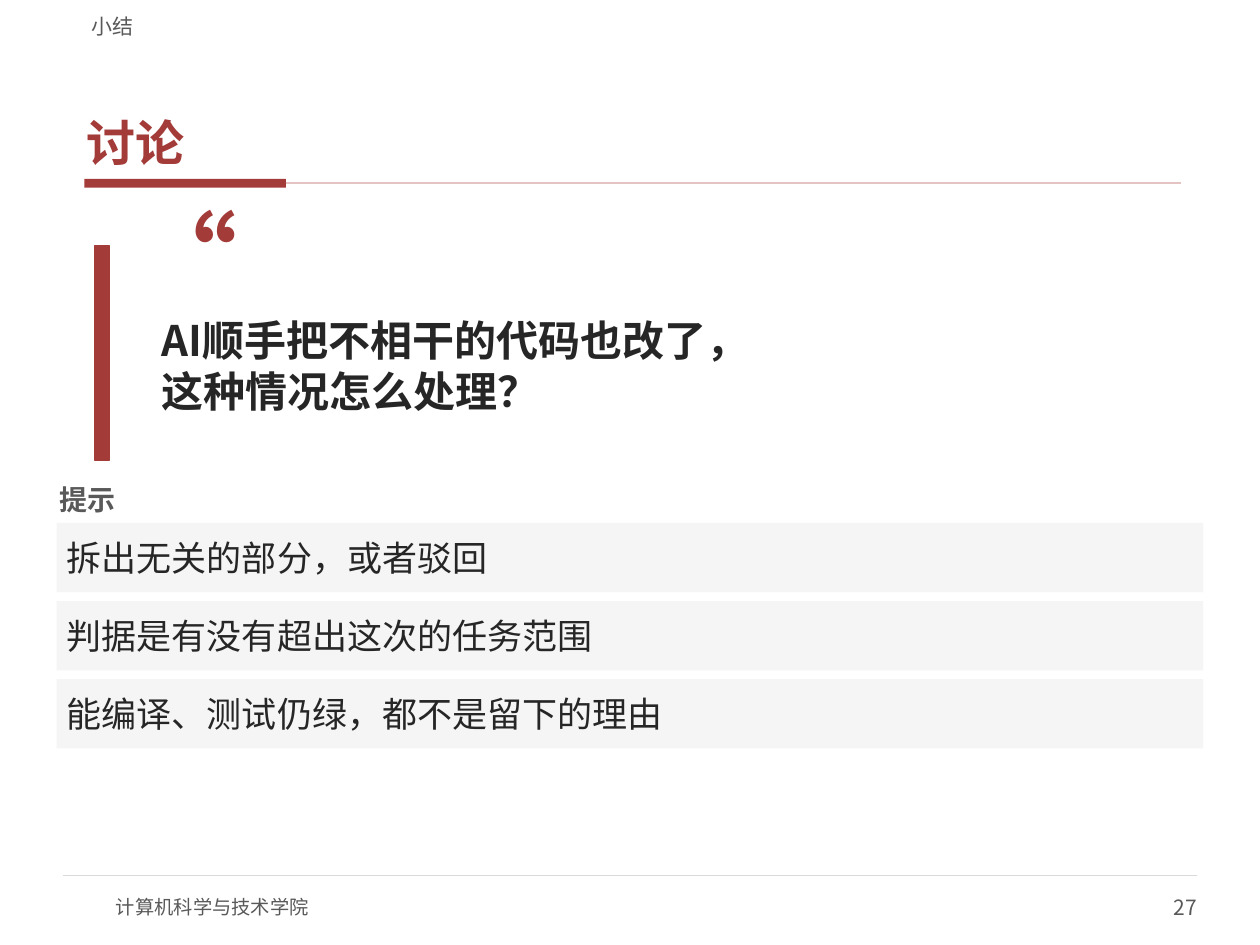
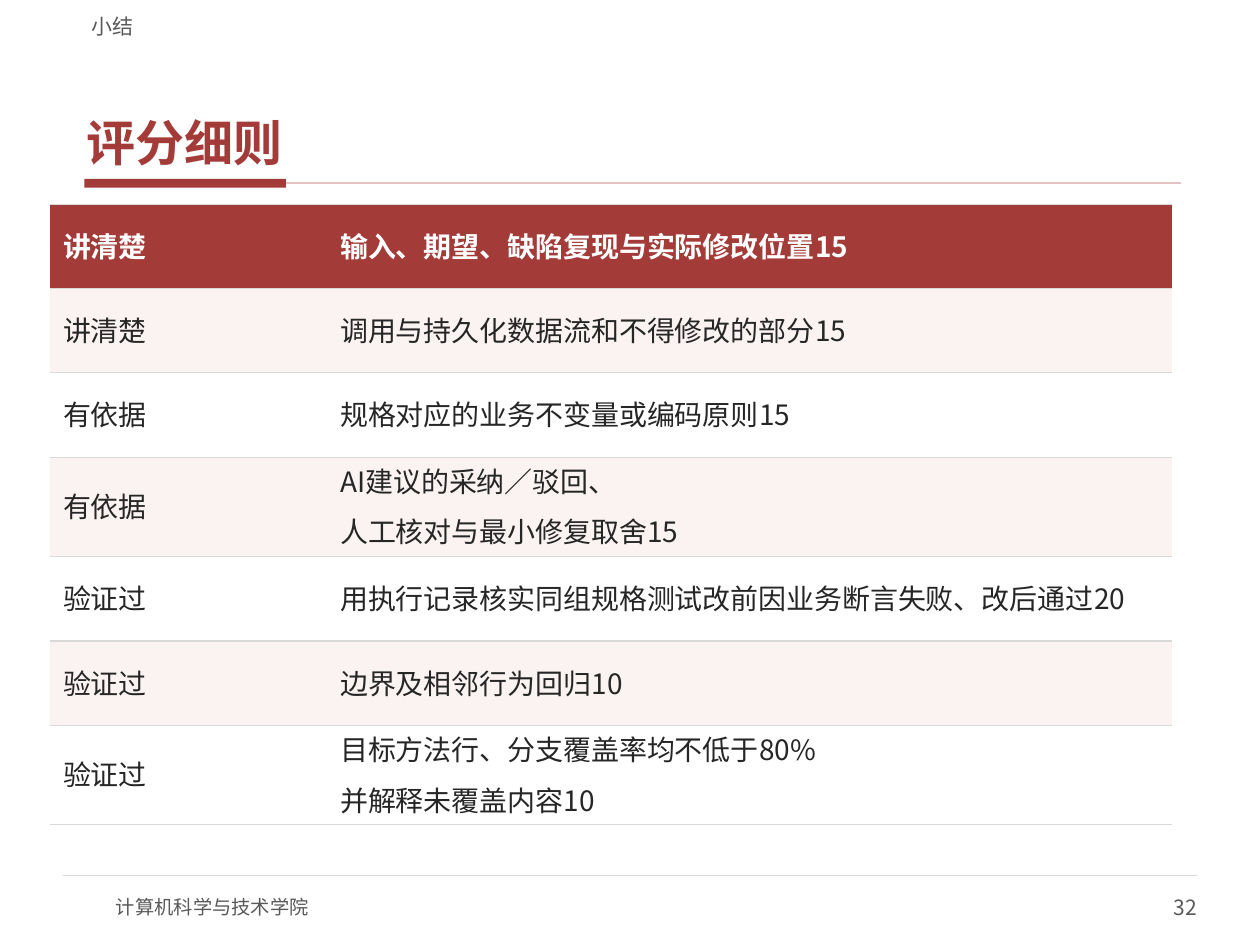
from dataclasses import dataclass
from lxml import etree
from pptx import Presentation
from pptx.dml.color import RGBColor as Rgb
from pptx.enum.shapes import MSO_CONNECTOR as Link, MSO_SHAPE as Form
from pptx.enum.text import MSO_ANCHOR as Anchor, MSO_AUTO_SIZE as Fit, PP_ALIGN as Align
from pptx.oxml.ns import qn
from pptx.util import Pt


@dataclass(frozen=True)
class Theme:
    font: str = "Noto Sans CJK SC"
    red: str = "A33B38"
    rose: str = "E3C4C2"
    blush: str = "FBF3F2"
    rule: str = "D9D9D9"
    pale: str = "F5F5F5"
    gray: str = "595959"
    ink: str = "262626"
    white: str = "FFFFFF"
    quote: int = 60
    title: int = 28
    ask: int = 24
    hint: int = 20
    body: int = 16
    small: int = 12
    foot: int = 11


@dataclass(frozen=True)
class Box:
    left: float
    top: float
    width: float
    height: float

    def place(self) -> tuple:
        return Pt(self.left), Pt(self.top), Pt(self.width), Pt(self.height)


@dataclass(frozen=True)
class Style:
    size: int
    color: str
    bold: bool = False
    align: Align = Align.LEFT
    anchor: Anchor = Anchor.MIDDLE
    pad: tuple = (0, 0)
    fit: Fit = Fit.NONE


@dataclass(frozen=True)
class Label:
    text: str
    box: Box
    style: Style


T = Theme()
WIDE = (5.76, 2.88)
HEAD = Style(T.title, T.red, True, anchor=Anchor.BOTTOM, pad=(4.32, 1.44))
TITLE = Box(45.36, 23.76, 630, 75.6)
HINT = Style(T.hint, T.ink, pad=WIDE)

# Labels found on every slide
FRAME = [
    Label("计算机科学与技术学院", Box(66.24, 504, 288, 28.8), Style(T.foot, T.gray)),
    Label("小结", Box(45.36, 2.88, 630, 19.44),
          Style(T.small, T.gray, anchor=Anchor.BOTTOM, pad=(7.2, 0))),
]

ASK = [
    Label("“", Box(75.6, 111.6, 72, 72),
          Style(T.quote, T.red, True, anchor=Anchor.TOP)),
    Label("AI顺手把不相干的代码也改了，\n这种情况怎么处理？",
          Box(86.4, 154.8, 601.2, 108),
          Style(T.ask, T.ink, True, pad=WIDE, fit=Fit.TEXT_TO_FIT_SHAPE)),
    Label("提示", Box(32.4, 273.6, 216, 23.04),
          Style(T.body, T.gray, True, pad=(1.44, 0.72))),
]
HINTS = [
    "拆出无关的部分，或者驳回",
    "判据是有没有超出这次的任务范围",
    "能编译、测试仍绿，都不是留下的理由",
]
SCORES = [
    ("讲清楚", "输入、期望、缺陷复现与实际修改位置15"),
    ("讲清楚", "调用与持久化数据流和不得修改的部分15"),
    ("有依据", "规格对应的业务不变量或编码原则15"),
    ("有依据", "AI建议的采纳／驳回、\n人工核对与最小修复取舍15"),
    ("验证过", "用执行记录核实同组规格测试改前因业务断言失败、改后通过20"),
    ("验证过", "边界及相邻行为回归10"),
    ("验证过", "目标方法行、分支覆盖率均不低于80%\n并解释未覆盖内容10"),
]


def apply(item, values: dict) -> None:
    for key, value in values.items():
        setattr(item, key, value)


def add_run(para, text: str, style: Style) -> None:
    run = para.add_run()
    run.text = text
    apply(run.font, {"name": T.font, "size": Pt(style.size), "bold": style.bold})
    run.font.color.rgb = Rgb.from_string(style.color)
    east = etree.SubElement(run.font._element, qn("a:ea"))
    east.set("typeface", T.font)


def write(shape, text: str, style: Style):
    """Fill a shape with one paragraph, with a line break at each newline."""
    frame = shape.text_frame
    side, edge = (Pt(pad) for pad in style.pad)
    apply(frame, {"word_wrap": True, "auto_size": style.fit,
                  "vertical_anchor": style.anchor,
                  "margin_left": side, "margin_right": side,
                  "margin_top": edge, "margin_bottom": edge})
    para = frame.paragraphs[0]
    para.alignment = style.align
    for row, line in enumerate(text.split("\n")):
        if row:
            para.add_line_break()
        add_run(para, line, style)
    return para


def add_label(slide, label: Label) -> None:
    write(slide.shapes.add_textbox(*label.box.place()), label.text, label.style)


def add_bar(slide, box: Box, color: str, edge: bool = False):
    bar = slide.shapes.add_shape(Form.RECTANGLE, *box.place())
    bar.shadow.inherit = False
    bar.fill.solid()
    bar.fill.fore_color.rgb = Rgb.from_string(color)
    if edge:
        bar.line.color.rgb = Rgb.from_string(color)
        bar.line.width = Pt(1)
    else:
        bar.line.fill.background()
    return bar


def add_rule(slide, left: float, right: float, top: float, color: str, width: float):
    rule = slide.shapes.add_connector(Link.STRAIGHT, Pt(left), Pt(top), Pt(right), Pt(top))
    rule.line.color.rgb = Rgb.from_string(color)
    rule.line.width = Pt(width)
    etree.SubElement(rule._element.spPr, qn("a:effectLst"))
    return rule


def add_page(deck, title: str, number: int):
    """Add a slide with its title, rules, header and footer."""
    slide = deck.slides.add_slide(deck.slide_layouts[5])
    bar = add_bar(slide, Box(48.24, 102.24, 115.2, 5.04), T.red)
    rule = add_rule(slide, 163.44, 674.64, 104.76, T.rose, 1)
    rule.begin_connect(bar, 3)
    add_rule(slide, 36, 684, 500.4, T.rule, 0.75)
    page = Label(str(number), Box(540, 504, 144, 28.8),
                 Style(T.small, T.gray, align=Align.RIGHT))
    for label in [*FRAME, page]:
        add_label(slide, label)
    head = slide.shapes.title
    apply(head, dict(zip(("left", "top", "width", "height"), TITLE.place())))
    write(head, title, HEAD).space_after = Pt(2)
    return slide


def set_edges(cell) -> None:
    """Rule a cell above and below only."""
    props = cell._tc.get_or_add_tcPr()
    for spot, side in enumerate(("lnL", "lnR", "lnT", "lnB")):
        line = etree.Element(qn(f"a:{side}"))
        if side in ("lnT", "lnB"):
            line.set("w", str(Pt(0.75)))
            fill = etree.SubElement(line, qn("a:solidFill"))
            etree.SubElement(fill, qn("a:srgbClr")).set("val", T.rule)
        else:
            etree.SubElement(line, qn("a:noFill"))
        props.insert(spot, line)


def fill_cell(cell, text: str, fill: str, style: Style) -> None:
    cell.fill.solid()
    cell.fill.fore_color.rgb = Rgb.from_string(fill)
    cell.vertical_anchor = style.anchor
    set_edges(cell)
    frame = cell.text_frame
    for row, line in enumerate(text.split("\n")):
        para = frame.add_paragraph() if row else frame.paragraphs[0]
        apply(para, {"line_spacing": 0.9, "space_after": Pt(2)})
        if row:
            para.space_before = Pt(6)
        add_run(para, line, style)


def add_talk(deck) -> None:
    slide = add_page(deck, "讨论", 27)
    add_bar(slide, Box(54, 140.4, 8.64, 122.4), T.red, edge=True)
    for label in ASK:
        add_label(slide, label)
    # Hint bands at an even step
    for row, hint in enumerate(HINTS):
        band = add_bar(slide, Box(32.4, 298.8 + row * 44.64, 655.2, 39.6), T.pale)
        write(band, hint, HINT)


def add_scores(deck) -> None:
    slide = add_page(deck, "评分细则", 32)
    high = 48.24
    box = Box(28.8, 116.64, 640.8, high * len(SCORES))
    table = slide.shapes.add_table(len(SCORES), 2, *box.place()).table
    for column, width in zip(table.columns, (158.4, 482.4)):
        column.width = Pt(width)
    # Red first row, then tinted and white rows in turn
    for row, texts in enumerate(SCORES):
        table.rows[row].height = Pt(high)
        fill = T.red if row == 0 else T.blush if row % 2 else T.white
        style = Style(T.body, T.ink if row else T.white, row == 0)
        for col, text in enumerate(texts):
            fill_cell(table.cell(row, col), text, fill, style)


def main() -> None:
    deck = Presentation()
    deck.slide_width, deck.slide_height = Pt(720), Pt(540)
    add_talk(deck)
    add_scores(deck)
    deck.save("out.pptx")


if __name__ == "__main__":
    main()
